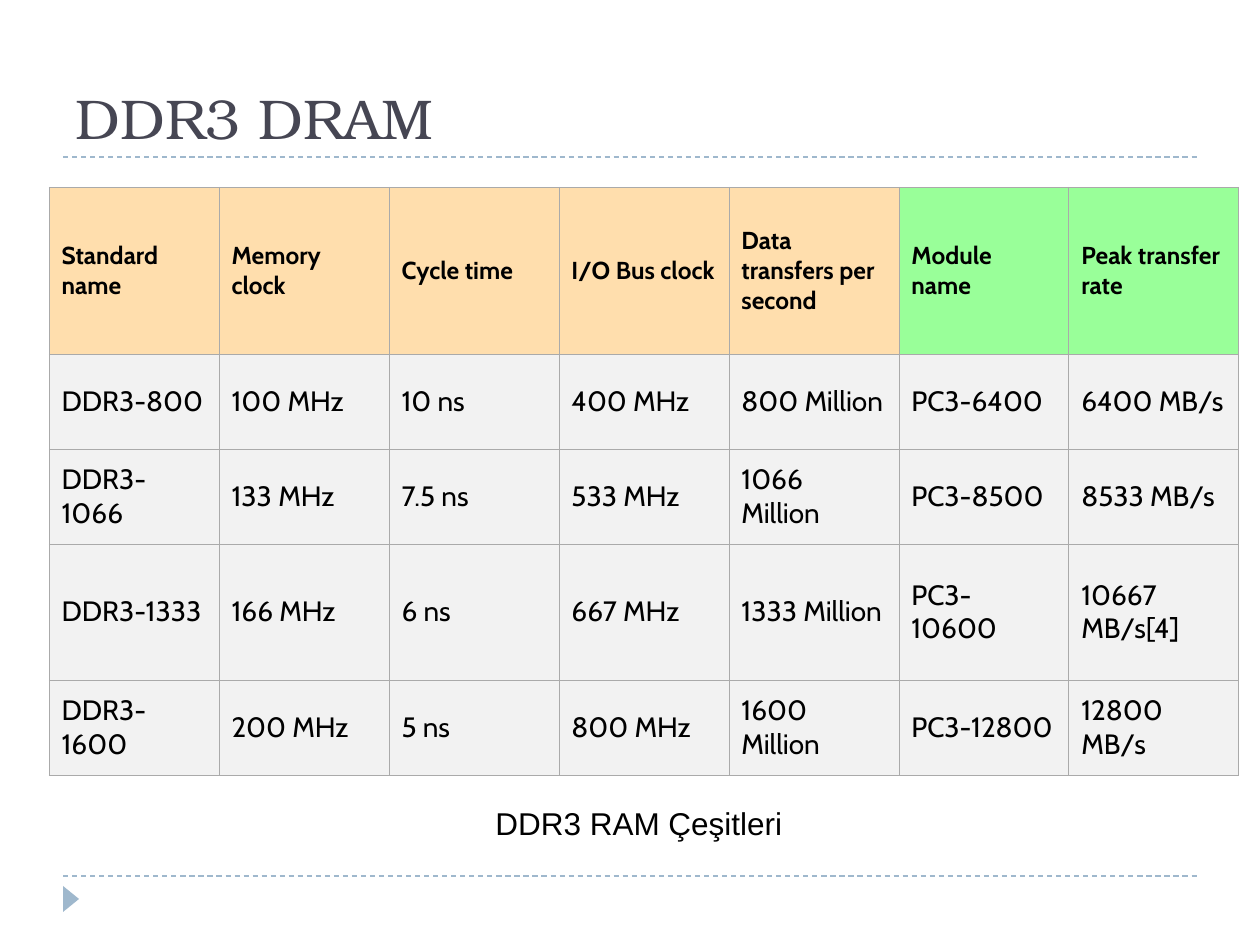
from dataclasses import dataclass

from pptx import Presentation, util as u
from pptx.dml.color import RGBColor
from pptx.enum import dml, shapes, text
from pptx.oxml import parse_xml
from pptx.oxml.ns import nsdecls
from pptx.oxml.xmlchemy import OxmlElement

PX_PER_INCH = 126
COLORS = {
    "title": "464653", "text": "000000", "accent": "9FB8CD", "border": "AAAAAA",
    "standard": "FFDEAD", "module": "99FF99", "body": "F2F2F2",
}
BORDER_PT = 0.34


@dataclass(frozen=True)
class Box:
    left: int
    top: int
    width: int
    height: int

    def emu(self) -> list[int]:
        return [px(v) for v in (self.left, self.top, self.width, self.height)]


@dataclass(frozen=True)
class TextStyle:
    name: str
    size: int
    color: str
    bold: bool = False


TITLE = TextStyle("TeX Gyre Bonum", 32, "title")
HEADER = TextStyle("Cabin", 14, "text", True)
BODY = TextStyle("Cabin", 16, "text")
CAPTION = TextStyle("Arial", 18, "text")

TABLE_LEFT, TABLE_TOP, COLUMN_WIDTH = 49, 187, 170
ROW_HEIGHTS = [167, 95, 95, 136, 95]
MODULE_COLUMN = 5  # module columns start here
ROWS = [
    ["Standard name", "Memory clock", "Cycle time", "I/O Bus clock",
     "Data transfers per second", "Module name", "Peak transfer rate"],
    ["DDR3-800", "100 MHz", "10 ns", "400 MHz", "800 Million", "PC3-6400", "6400 MB/s"],
    ["DDR3-1066", "133 MHz", "7.5 ns", "533 MHz", "1066 Million", "PC3-8500", "8533 MB/s"],
    ["DDR3-1333", "166 MHz", "6 ns", "667 MHz", "1333 Million", "PC3-10600", "10667 MB/s[4]"],
    ["DDR3-1600", "200 MHz", "5 ns", "800 MHz", "1600 Million", "PC3-12800", "12800 MB/s"],
]


def px(value: int) -> int:
    return round(value * u.Inches(1) / PX_PER_INCH)


def rgb(key: str) -> RGBColor:
    return RGBColor.from_string(COLORS[key])


def write(tf, content: str, style: TextStyle) -> None:
    p = tf.paragraphs[0]
    p.alignment = text.PP_ALIGN.LEFT
    r = p.add_run()
    r.text = content
    formats = {"name": style.name, "size": u.Pt(style.size), "bold": style.bold}
    for key, value in formats.items():
        setattr(r.font, key, value)
    r.font.color.rgb = rgb(style.color)


def add_rule(slide, y: int) -> None:
    line = slide.shapes.add_connector(
        shapes.MSO_CONNECTOR.STRAIGHT, px(63), px(y), px(1197), px(y))
    line.line.color.rgb = rgb("accent")
    line.line.width = u.Pt(0.75)
    line.line.dash_style = dml.MSO_LINE.DASH
    line._element.spPr.append(OxmlElement("a:effectLst"))


def add_borders(cell) -> None:
    tcPr = cell._tc.get_or_add_tcPr()
    for side in "LRTB":
        tcPr.append(parse_xml(
            f'<a:ln{side} {nsdecls("a")} w="{u.Pt(BORDER_PT)}"><a:solidFill>'
            f'<a:srgbClr val="{COLORS["border"]}"/></a:solidFill></a:ln{side}>'))


def add_memory_table(slide) -> None:
    columns = len(ROWS[0])
    box = Box(TABLE_LEFT, TABLE_TOP, columns * COLUMN_WIDTH, sum(ROW_HEIGHTS))
    table = slide.shapes.add_table(len(ROWS), columns, *box.emu()).table
    table.first_row = table.horz_banding = False
    for column in table.columns:
        column.width = px(COLUMN_WIDTH)
    for i, (height, values) in enumerate(zip(ROW_HEIGHTS, ROWS)):
        table.rows[i].height = px(height)
        for j, value in enumerate(values):
            cell = table.cell(i, j)
            header_fill = "standard" if j < MODULE_COLUMN else "module"
            add_borders(cell)
            cell.fill.solid()
            cell.fill.fore_color.rgb = rgb("body" if i else header_fill)
            cell.vertical_anchor = text.MSO_ANCHOR.MIDDLE
            write(cell.text_frame, value, BODY if i else HEADER)


def main() -> None:
    prs = Presentation()
    prs.slide_width, prs.slide_height = u.Inches(10), u.Inches(7.5)
    slide = prs.slides.add_slide(prs.slide_layouts[5])

    # Footer and title rules, corner marker
    for y in (876, 157):
        add_rule(slide, y)
    marker = slide.shapes.add_shape(
        shapes.MSO_SHAPE.ISOSCELES_TRIANGLE, *Box(58, 891, 26, 16).emu())
    marker.rotation = 90
    marker.shadow.inherit = False
    marker.fill.solid()
    marker.fill.fore_color.rgb = rgb("accent")
    marker.line.fill.background()

    # Title
    title = slide.shapes.title
    title.left, title.top, title.width, title.height = Box(63, 21, 1134, 136).emu()
    title.text_frame.vertical_anchor = text.MSO_ANCHOR.BOTTOM
    write(title.text_frame, "DDR3 DRAM", TITLE)

    add_memory_table(slide)

    # Caption
    caption = slide.shapes.add_textbox(*Box(483, 798, 315, 50).emu())
    tf = caption.text_frame
    tf.word_wrap = True
    tf.auto_size = text.MSO_AUTO_SIZE.SHAPE_TO_FIT_TEXT
    write(tf, "DDR3 RAM Çeşitleri", CAPTION)

    prs.save("out.pptx")


if __name__ == "__main__":
    main()
